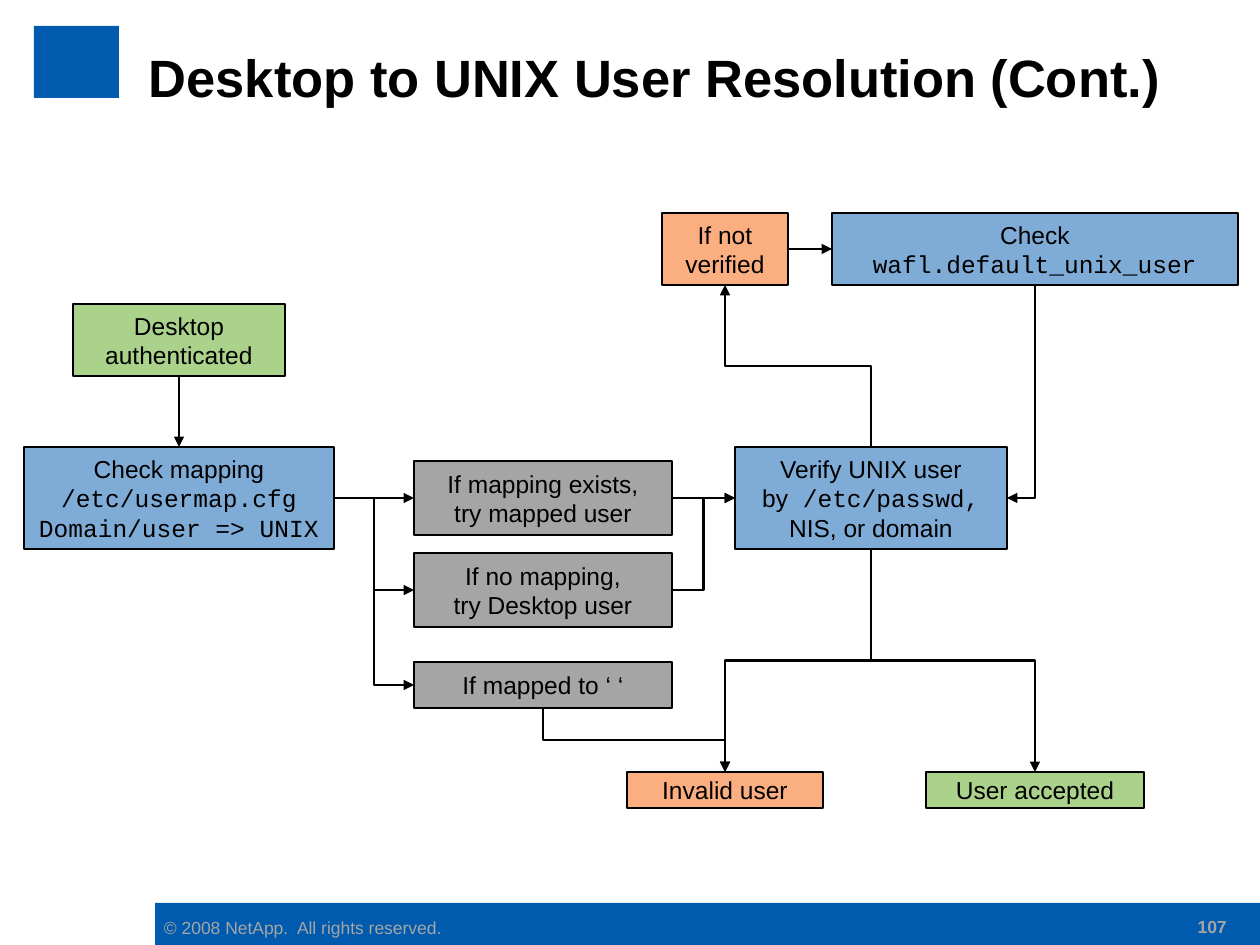
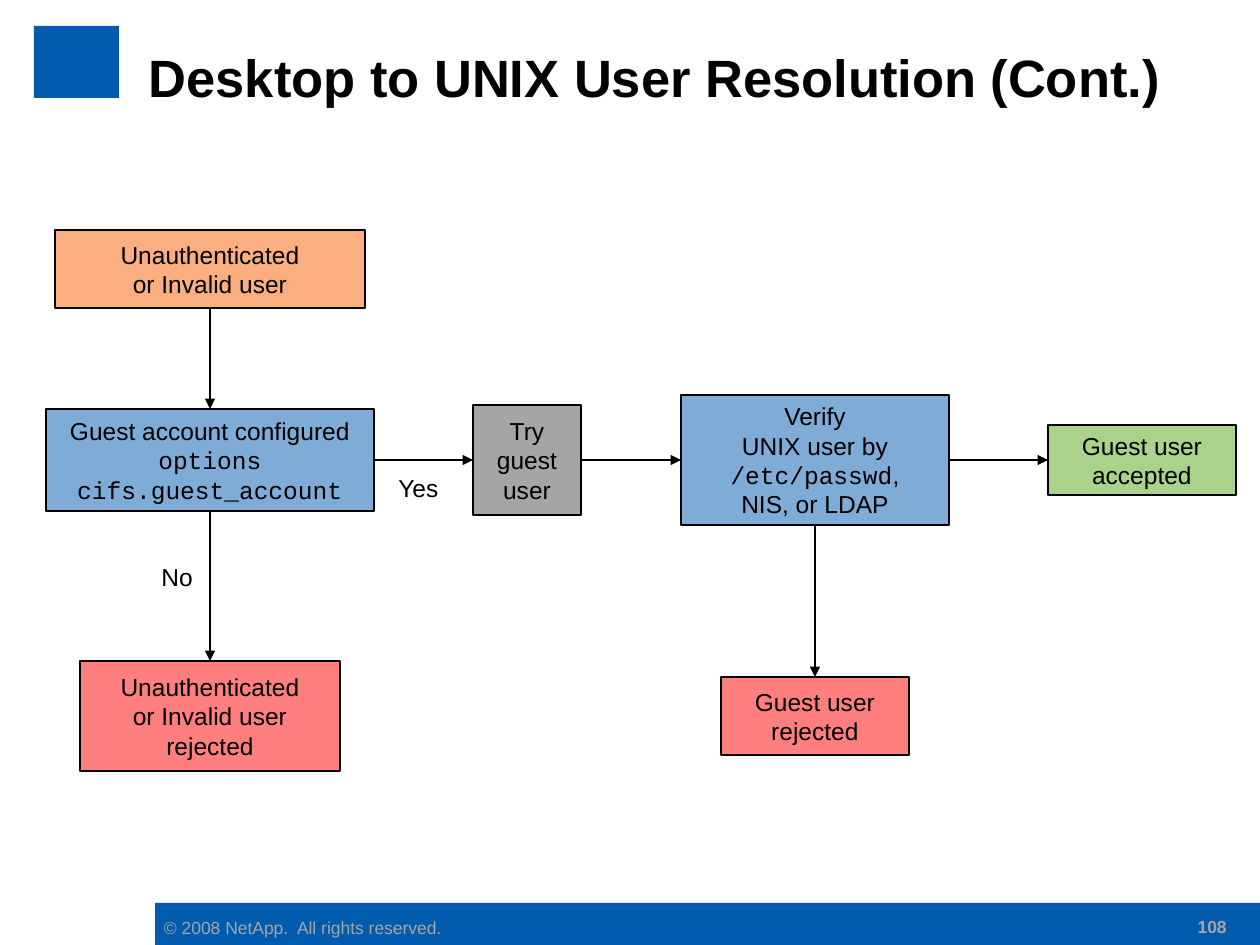
from lxml import etree
from pptx import Presentation
from pptx import util as u
from pptx.dml.color import RGBColor
from pptx.enum import shapes, text
from pptx.oxml.ns import qn

PX = 914400 / 126
BLACK = RGBColor(0x00, 0x00, 0x00)
GRAY = RGBColor(0xA5, 0xA5, 0xA5)
BLUE = RGBColor(0x00, 0x5B, 0xAE)
ORANGE = RGBColor(0xF9, 0x5F, 0x00)
GREEN = RGBColor(0x58, 0xA6, 0x18)
RED = RGBColor(0xFF, 0x00, 0x00)

SANS, MONO = "Arial", "Courier New"
TITLE = "Desktop to UNIX User Resolution (Cont.)"
COPYRIGHT = "© 2008 NetApp.  All rights reserved."
TITLE_FONT = {"size": u.Pt(30), "bold": True}
LABEL_FONT = {"size": u.Pt(14), "bold": False}
FOOTER_FONT = {"size": u.Pt(10), "bold": False}
NUMBER_FONT = {"size": u.Pt(10), "bold": True}

TOP, LEFT, BOTTOM, RIGHT = range(4)
LEFT_ALIGN = text.PP_ALIGN.LEFT
CENTER = text.PP_ALIGN.CENTER
MIDDLE = text.MSO_ANCHOR.MIDDLE


def emu(*lengths):
    return [u.Emu(round(n * PX)) for n in lengths]


def write(sp, lines, font, color=BLACK, align=CENTER, **frame):
    """Write one paragraph per line; parts between backticks are monospaced."""
    tf = sp.text_frame
    for name, value in {"word_wrap": True, **frame}.items():
        setattr(tf, name, value)
    for i, line in enumerate(lines.split("\n")):
        p = tf.add_paragraph() if i else tf.paragraphs[0]
        p.alignment = align
        for j, part in enumerate(line.split("`")):
            if part:
                r = p.add_run()
                r.text = part
                r.font.color.rgb = color
                for name, value in {"name": MONO if j % 2 else SANS, **font}.items():
                    setattr(r.font, name, value)


def rect(s, at, fill, alpha=None):
    sp = s.shapes.add_shape(shapes.MSO_SHAPE.RECTANGLE, *emu(*at))
    sp.shadow.inherit = False
    sp.fill.solid()
    sp.fill.fore_color.rgb = fill
    sp.line.fill.background()
    if alpha:
        clr = sp.fill._xPr.find(f".//{qn('a:srgbClr')}")
        etree.SubElement(clr, qn("a:alpha"), val=str(alpha * 1000))
    return sp


def box(s, at, fill, lines):
    """Outlined flowchart step; every fill but gray is half transparent."""
    sp = rect(s, at, fill, None if fill == GRAY else 50)
    sp.line.color.rgb = BLACK
    sp.line.width = u.Pt(1)
    write(sp, lines, LABEL_FONT, vertical_anchor=MIDDLE)
    return sp


def label(s, at, lines, font=LABEL_FONT, **style):
    sp = s.shapes.add_textbox(*emu(*at))
    write(sp, lines, font, **style)


def side_middle(sp, side):
    fx, fy = [(0.5, 0), (0, 0.5), (0.5, 1), (1, 0.5)][side]
    return round(sp.left + sp.width * fx), round(sp.top + sp.height * fy)


def style_arrow(cn):
    cn.line.color.rgb = BLACK
    cn.line.width = u.Pt(1.5)
    etree.SubElement(cn.line._get_or_add_ln(), qn("a:tailEnd"), type="triangle")
    etree.SubElement(cn._element.spPr, qn("a:effectLst"))


def arrow(s, a, a_side, b, b_side):
    cn = s.shapes.add_connector(shapes.MSO_CONNECTOR.STRAIGHT, 0, 0, 0, 0)
    cn.begin_connect(a, a_side)
    cn.end_connect(b, b_side)
    style_arrow(cn)


def elbow(s, a, a_side, b, b_side):
    """Bent arrow; one that leaves vertically is a turned horizontal one."""
    (x1, y1), (x2, y2) = side_middle(a, a_side), side_middle(b, b_side)
    vertical = a_side in (TOP, BOTTOM)
    rot = 0
    if vertical:
        dx, dy = x2 - x1, y2 - y1
        cx, cy = (x1 + x2) / 2, (y1 + y2) / 2
        rot = 90 if dy > 0 > dx else 270
        half_w = abs(dy) / 2 * (-1 if dy > 0 and dx > 0 else 1)
        half_h = abs(dx) / 2 * (-1 if dy < 0 and dx < 0 else 1)
        x1, y1, x2, y2 = map(round, (cx - half_w, cy - half_h,
                                     cx + half_w, cy + half_h))
    cn = s.shapes.add_connector(shapes.MSO_CONNECTOR.ELBOW, x1, y1, x2, y2)
    spPr = cn._element.spPr
    if rot:
        spPr.find(qn("a:xfrm")).set("rot", str(rot * 60000))
    if vertical != (b_side in (TOP, BOTTOM)):
        spPr.find(qn("a:prstGeom")).set("prst", "bentConnector2")
    style_arrow(cn)


def add_slide(prs, number):
    s = prs.slides.add_slide(prs.slide_layouts[5])
    title = s.shapes.title
    title.left, title.top, title.width, title.height = emu(136, 14, 1105, 126)
    write(title, TITLE, TITLE_FONT, align=LEFT_ALIGN, vertical_anchor=MIDDLE,
          margin_top=0, margin_bottom=0, auto_size=text.MSO_AUTO_SIZE.NONE)
    rect(s, (34, 26, 85, 72), BLUE)
    rect(s, (155, 903, 1105, 42), BLUE)
    label(s, (164, 917, 278, 21), COPYRIGHT, FOOTER_FONT, color=GRAY,
          align=LEFT_ALIGN, word_wrap=False, margin_left=0, margin_right=0,
          margin_top=0, margin_bottom=0)
    label(s, (1145, 910, 94, 32), str(number), NUMBER_FONT, color=GRAY,
          align=text.PP_ALIGN.RIGHT)
    return s


def add_user_mapping(prs):
    s = add_slide(prs, 107)
    mapping = box(s, (24, 447, 310, 102), BLUE,
                  "Check mapping\n`/etc/usermap.cfg`\n`Domain/user => UNIX`")
    exists, missing, blank = [
        box(s, (414, y, 258, h), GRAY, lines) for y, h, lines in (
            (461, 74, "If mapping exists,\ntry mapped user"),
            (553, 74, "If no mapping,\ntry Desktop user"),
            (662, 46, "If mapped to ‘ ‘"))]
    invalid = box(s, (627, 772, 196, 36), ORANGE, "Invalid user")
    verify = box(s, (735, 447, 272, 102), BLUE,
                 "Verify UNIX user\nby` /etc/passwd,`\nNIS, or domain")
    accepted = box(s, (926, 772, 218, 36), GREEN, "User accepted")
    unverified = box(s, (662, 213, 126, 72), ORANGE, "If not\nverified")
    default = box(s, (832, 213, 406, 72), BLUE, "Check\n`wafl.default_unix_user`")
    authenticated = box(s, (73, 304, 212, 72), GREEN, "Desktop\nauthenticated")

    arrow(s, authenticated, BOTTOM, mapping, TOP)
    arrow(s, mapping, RIGHT, exists, LEFT)
    arrow(s, exists, RIGHT, verify, LEFT)
    arrow(s, unverified, RIGHT, default, LEFT)
    for link in ((mapping, RIGHT, missing, LEFT),
                 (mapping, RIGHT, blank, LEFT),
                 (missing, RIGHT, verify, LEFT),
                 (blank, BOTTOM, invalid, TOP),
                 (verify, BOTTOM, invalid, TOP),
                 (verify, BOTTOM, accepted, TOP),
                 (verify, TOP, unverified, BOTTOM),
                 (default, BOTTOM, verify, RIGHT)):
        elbow(s, *link)


def add_guest_access(prs):
    s = add_slide(prs, 108)
    unknown = box(s, (55, 230, 310, 78), ORANGE, "Unauthenticated\nor Invalid user")
    rejected = box(s, (80, 661, 260, 110), RED,
                   "Unauthenticated\nor Invalid user\nrejected")
    label(s, (142, 556, 70, 43), "No")
    label(s, (373, 467, 91, 43), "Yes")
    guest_rejected = box(s, (721, 677, 188, 78), RED, "Guest user\nrejected")
    verify = box(s, (681, 395, 268, 130), BLUE,
                 "Verify\nUNIX user by\n`/etc/passwd`,\nNIS, or LDAP")
    configured = box(s, (46, 409, 328, 102), BLUE,
                     "Guest account configured\n`options`\n`cifs.guest_account`")
    attempt = box(s, (473, 405, 108, 110), GRAY, "Try\nguest\nuser")
    accepted = box(s, (1048, 425, 188, 70), GREEN, "Guest user\naccepted")

    for upper, lower in ((unknown, configured), (configured, rejected),
                         (verify, guest_rejected)):
        arrow(s, upper, BOTTOM, lower, TOP)
    for before, after in ((configured, attempt), (attempt, verify),
                          (verify, accepted)):
        arrow(s, before, RIGHT, after, LEFT)


def main():
    prs = Presentation()
    prs.slide_width, prs.slide_height = emu(1260, 945)
    add_user_mapping(prs)
    add_guest_access(prs)
    prs.save("out.pptx")


if __name__ == "__main__":
    main()
